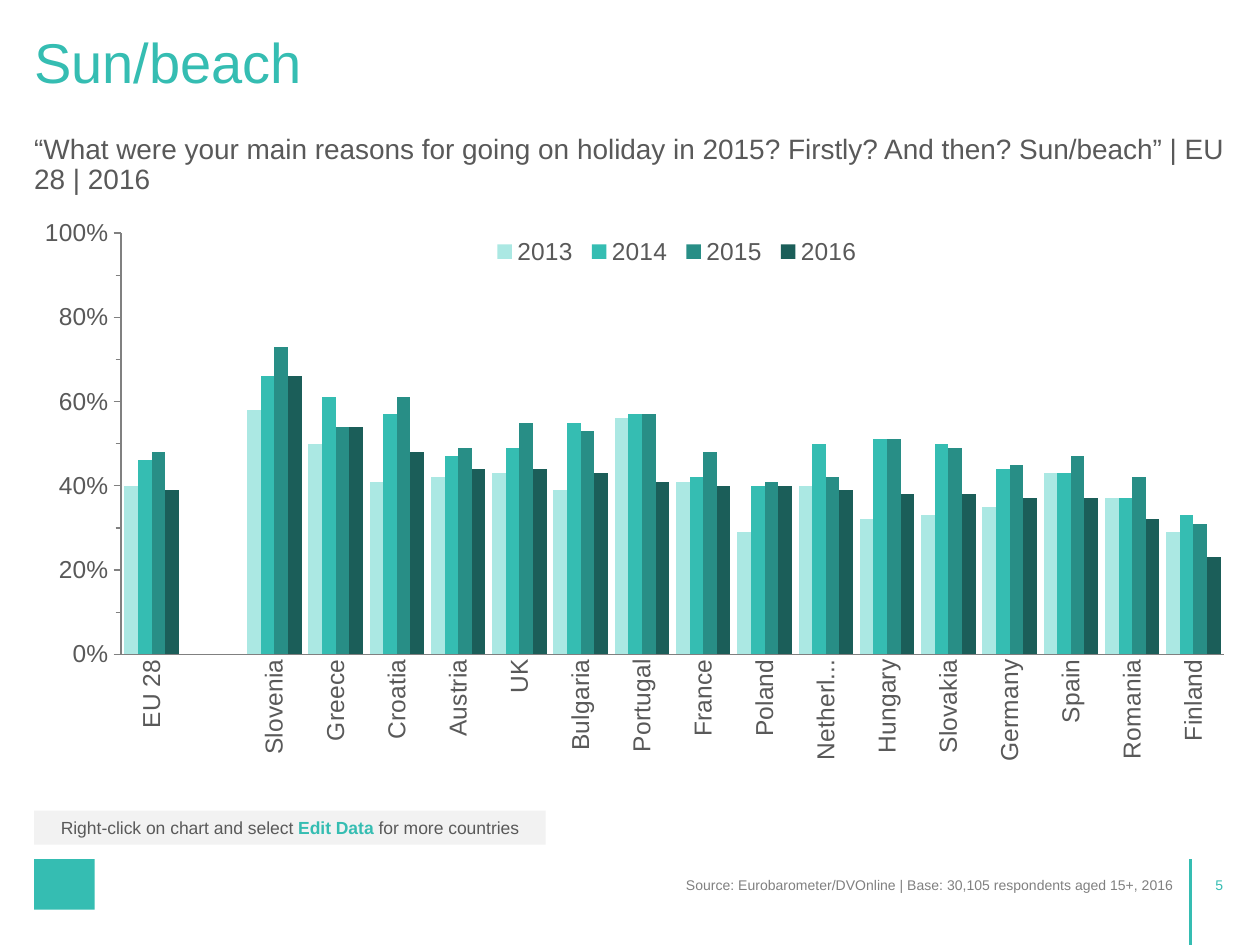
from lxml import etree
from pptx import Presentation
from pptx.chart.data import CategoryChartData
from pptx.dml.color import RGBColor
from pptx.enum.chart import XL_CHART_TYPE, XL_LEGEND_POSITION, XL_TICK_MARK
from pptx.enum.shapes import MSO_CONNECTOR, MSO_SHAPE
from pptx.enum.text import MSO_ANCHOR, MSO_AUTO_SIZE, PP_ALIGN
from pptx.oxml.ns import qn
from pptx.util import Cm, Pt

COLUMNS = XL_CHART_TYPE.COLUMN_CLUSTERED
LEGEND_TOP = XL_LEGEND_POSITION.TOP
TICK_NONE, TICK_OUT = XL_TICK_MARK.NONE, XL_TICK_MARK.OUTSIDE
LEFT, CENTER, RIGHT = PP_ALIGN.LEFT, PP_ALIGN.CENTER, PP_ALIGN.RIGHT
TOP, MIDDLE = MSO_ANCHOR.TOP, MSO_ANCHOR.MIDDLE

FONT = "Arial"
TEAL, DARK, GREY, PALE = "35BDB2", "595959", "808080", "F2F2F2"
MARGIN, CONTENT_W = 0.69, 24.0  # cm

COUNTRIES = ["EU 28", "", "Slovenia", "Greece", "Croatia", "Austria", "UK",
             "Bulgaria", "Portugal", "France", "Poland", "Netherlands",
             "Hungary", "Slovakia", "Germany", "Spain", "Romania", "Finland"]
# Year: (colour, percentages)
YEARS = {
    "2013": ("ABE8E3", [40, None, 58, 50, 41, 42, 43, 39, 56, 41, 29, 40, 32, 33, 35, 43, 37, 29]),
    "2014": (TEAL, [46, None, 66, 61, 57, 47, 49, 55, 57, 42, 40, 50, 51, 50, 44, 43, 37, 33]),
    "2015": ("288E86", [48, None, 73, 54, 61, 49, 55, 53, 57, 48, 41, 42, 51, 49, 45, 47, 42, 31]),
    "2016": ("1B5E59", [39, None, 66, 54, 48, 44, 44, 43, 41, 40, 40, 39, 38, 38, 37, 37, 32, 23]),
}


def rgb(value):
    return RGBColor.from_string(value)


def style_font(font, size, color, bold=False):
    font.name, font.size, font.bold = FONT, Pt(size), bold
    font.color.rgb = rgb(color)


def place(s, left, top, width, height):
    s.left, s.top, s.width, s.height = Cm(left), Cm(top), Cm(width), Cm(height)


def set_text(s, text, size, color, align=LEFT, anchor=TOP, spacing=0.9, inset=True):
    tf = s.text_frame
    tf.text = text
    tf.word_wrap = True
    tf.auto_size = MSO_AUTO_SIZE.NONE
    tf.vertical_anchor = anchor
    if not inset:
        tf.margin_left = tf.margin_right = tf.margin_top = tf.margin_bottom = 0
    p = tf.paragraphs[0]
    p.alignment, p.line_spacing = align, spacing
    style_font(p.runs[0].font, size, color)


def add_text(slide, box, text, size, color, **options):
    s = slide.shapes.add_textbox(*map(Cm, box))
    set_text(s, text, size, color, **options)


def add_rect(slide, box, color):
    s = slide.shapes.add_shape(MSO_SHAPE.RECTANGLE, *map(Cm, box))
    s.shadow.inherit = False
    s.fill.solid()
    s.fill.fore_color.rgb = rgb(color)
    s.line.fill.background()
    return s


def add_rule(slide, x, top, bottom):
    s = slide.shapes.add_connector(MSO_CONNECTOR.STRAIGHT, Cm(x), Cm(top), Cm(x), Cm(bottom))
    s.line.color.rgb = rgb(TEAL)
    s.line.width = Pt(1.5)
    etree.SubElement(s._element.spPr, qn("a:effectLst"))


def set_layout(parent, before, x, y, w, h, inner=False):
    """Give a chart part a manual layout, as fractions of the chart."""
    for old in parent.findall(qn("c:layout")):
        parent.remove(old)
    layout = etree.Element(qn("c:layout"))
    manual = etree.SubElement(layout, qn("c:manualLayout"))
    items = [("layoutTarget", "inner")] if inner else []
    items += [("xMode", "edge"), ("yMode", "edge"), ("x", x), ("y", y), ("w", w), ("h", h)]
    for tag, value in items:
        etree.SubElement(manual, qn("c:" + tag)).set("val", str(value))
    parent.insert(before, layout)


def format_axes(chart):
    cat, val = chart.category_axis, chart.value_axis
    for axis in (cat, val):
        axis.has_major_gridlines = False
        axis.format.line.color.rgb = rgb(GREY)
        style_font(axis.tick_labels.font, 14, DARK)
    cat.major_tick_mark = TICK_NONE
    body = cat._element.find(qn("c:txPr")).find(qn("a:bodyPr"))
    body.set("rot", "-5400000")
    body.set("vert", "horz")
    val.minimum_scale, val.maximum_scale = 0, 1
    val.major_unit, val.minor_unit = 0.2, 0.1
    val.major_tick_mark = val.minor_tick_mark = TICK_OUT
    val.tick_labels.number_format = "0%"
    val.tick_labels.number_format_is_linked = False


def add_column_chart(slide, box):
    data = CategoryChartData(number_format="0%")
    data.categories = COUNTRIES
    for year, (_, shares) in YEARS.items():
        data.add_series(year, [None if v is None else v / 100 for v in shares])
    chart = slide.shapes.add_chart(COLUMNS, *map(Cm, box), data).chart
    chart.has_title = False
    style_font(chart.font, 14, DARK)

    plot = chart.plots[0]
    plot.gap_width, plot.overlap = 50, 0
    plot.vary_by_categories = False
    for series, (color, _) in zip(plot.series, YEARS.values()):
        series.format.fill.solid()
        series.format.fill.fore_color.rgb = rgb(color)
    format_axes(chart)

    chart.has_legend = True
    chart.legend.position = LEGEND_TOP
    chart.legend.include_in_layout = False
    style_font(chart.legend.font, 14, DARK)
    set_layout(chart.legend._element, 1, 0.38, 0.02, 0.32, 0.07)
    plot_area = chart._chartSpace.chart.plotArea
    set_layout(plot_area, 0, 0.073, 0.023, 0.927, 0.726, inner=True)


def add_note(slide, box, parts):
    s = add_rect(slide, box, PALE)
    tf = s.text_frame
    tf.word_wrap = True
    tf.vertical_anchor = MIDDLE
    p = tf.paragraphs[0]
    p.alignment = CENTER
    for text, color, bold in parts:
        r = p.add_run()
        r.text = text
        style_font(r.font, 10, color, bold)


def main():
    prs = Presentation()
    prs.slide_width, prs.slide_height = Cm(25.4), Cm(19.05)
    slide = prs.slides.add_slide(prs.slide_layouts[5])

    # Title and survey question
    title = slide.shapes.title
    place(title, MARGIN, 0.71, CONTENT_W, 2.0)
    set_text(title, "Sun/beach", 32, TEAL, inset=False)
    add_text(slide, (MARGIN, 2.72, CONTENT_W, 1.22),
             "“What were your main reasons for going on holiday in 2015? "
             "Firstly? And then? Sun/beach” | EU 28 | 2016", 16, DARK, inset=False)

    # Chart and hint
    add_column_chart(slide, (MARGIN, 4.42, CONTENT_W, 11.71))
    add_note(slide, (MARGIN, 16.34, 10.31, 0.69),
             [("Right-click on chart and select ", DARK, False),
              ("Edit Data ", TEAL, True),
              ("for more countries", DARK, False)])

    # Footer: emblem, source, rule and page number
    add_rect(slide, (MARGIN, 17.32, 1.22, 1.02), TEAL)
    footer = dict(align=RIGHT, anchor=MIDDLE, spacing=Pt(8))
    add_text(slide, (1.9, 17.6, 22.02, 0.53),
             "Source: Eurobarometer/DVOnline | Base: 30,105 respondents aged 15+, 2016",
             8, GREY, **footer)
    add_rule(slide, 24, 17.32, 19.05)
    add_text(slide, (24.05, 17.6, 0.86, 0.53), "5", 8, TEAL, **footer)

    prs.save("out.pptx")


if __name__ == "__main__":
    main()
